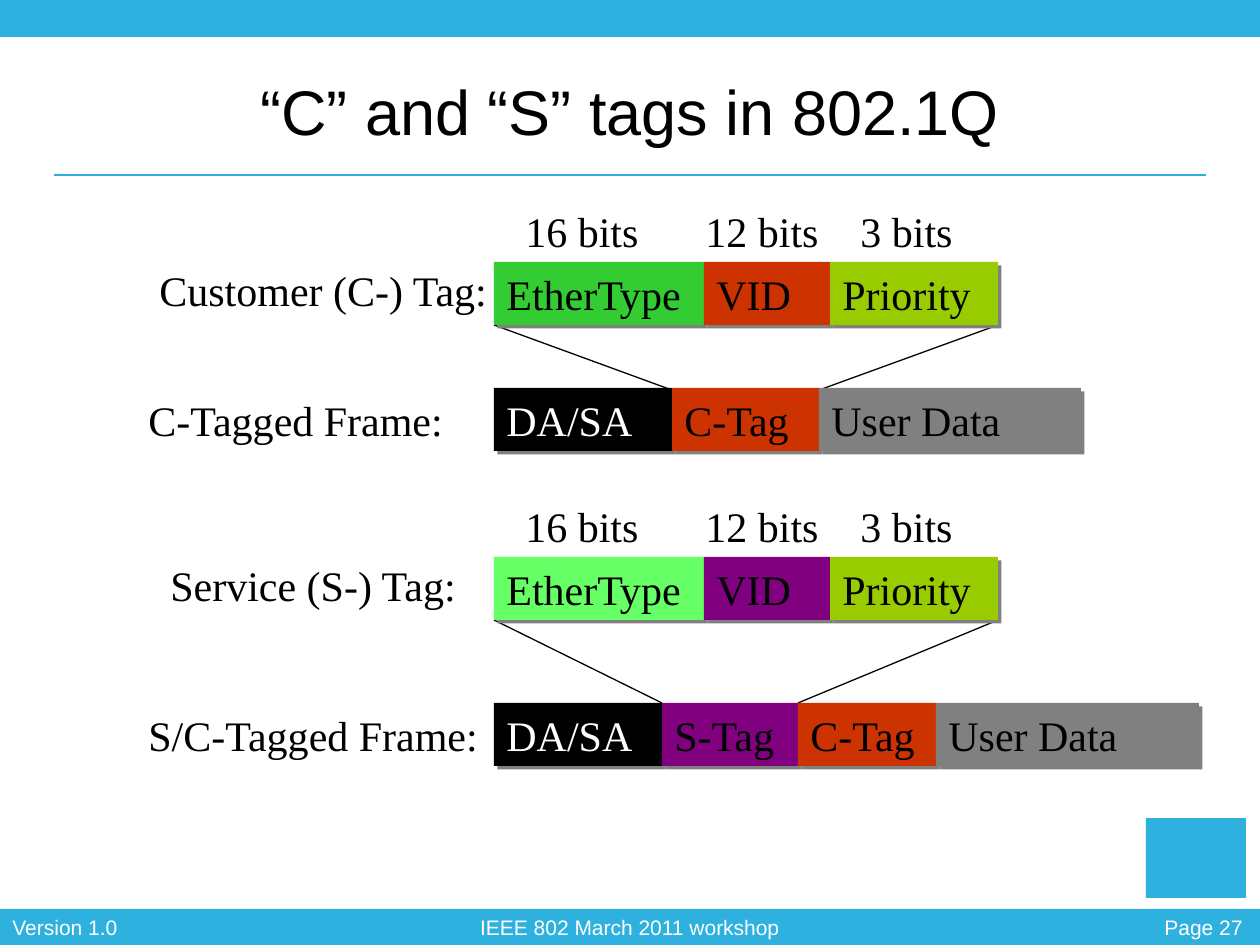
from dataclasses import dataclass
from itertools import accumulate

from lxml import etree
from pptx import Presentation
from pptx.dml.color import RGBColor
from pptx.enum.shapes import MSO_CONNECTOR, MSO_SHAPE
from pptx.enum.text import MSO_ANCHOR, PP_ALIGN
from pptx.oxml.ns import qn
from pptx.util import Emu, Pt

RECTANGLE = MSO_SHAPE.RECTANGLE
STRAIGHT = MSO_CONNECTOR.STRAIGHT
TOP, MIDDLE = MSO_ANCHOR.TOP, MSO_ANCHOR.MIDDLE
LEFT, CENTER, RIGHT = PP_ALIGN.LEFT, PP_ALIGN.CENTER, PP_ALIGN.RIGHT
TITLE_ONLY = 5
PX_PER_INCH = 126
FIELD_HEIGHT = 63


@dataclass(frozen=True)
class Theme:
    heading_font: str = "Arial"
    body_font: str = "Times New Roman"
    title_size: int = 36
    body_size: int = 24
    footer_size: int = 12
    bar: str = "2FB1DF"
    rule: str = "2FADDF"
    ink: str = "000000"
    paper: str = "FFFFFF"
    shadow: str = "808080"
    customer_type: str = "33CC33"
    service_type: str = "66FF66"
    customer: str = "CC3300"
    service: str = "800080"
    priority: str = "99CC00"
    data: str = "808080"


THEME = Theme()


def px(length):
    return Emu(round(length * 914400 / PX_PER_INCH))


def place(box):
    return [px(length) for length in box]


def write(frame, text, font, size, color, align=LEFT, anchor=TOP):
    frame.vertical_anchor = anchor
    para = frame.paragraphs[0]
    para.alignment = align
    span = para.add_run()
    span.text = text
    span.font.name = font
    span.font.size = Pt(size)
    span.font.color.rgb = RGBColor.from_string(color)


def add_text(page, box, text, font, size, color, align=LEFT, wrap=False):
    frame = page.shapes.add_textbox(*place(box)).text_frame
    frame.word_wrap = wrap
    write(frame, text, font, size, color, align)


def add_body_text(page, box, text):
    add_text(page, box, text, THEME.body_font, THEME.body_size, THEME.ink)


def add_rectangle(page, box, fill):
    shape = page.shapes.add_shape(RECTANGLE, *place(box))
    shape.shadow.inherit = False
    shape.fill.solid()
    shape.fill.fore_color.rgb = RGBColor.from_string(fill)
    shape.line.fill.background()
    return shape


def add_line(page, start, end, color):
    line = page.shapes.add_connector(STRAIGHT, *place(start + end))
    line.line.color.rgb = RGBColor.from_string(color)
    line.line.width = Pt(0.75)
    etree.SubElement(line._element.spPr, qn("a:effectLst"))


def add_drop_shadow(shape):
    effects = shape._element.spPr.find(qn("a:effectLst"))
    shadow = etree.SubElement(effects, qn("a:outerShdw"), dist=str(Pt(2.8)),
                              dir="2700000", algn="ctr", rotWithShape="0")
    etree.SubElement(shadow, qn("a:srgbClr"), val=THEME.shadow)


def add_field_row(page, left, top, fields):
    edges = accumulate((width for _, width, _ in fields), initial=left)
    for (text, width, fill), edge in zip(fields, edges):
        shape = add_rectangle(page, (edge, top, width, FIELD_HEIGHT), fill)
        add_drop_shadow(shape)
        shape.text_frame.word_wrap = True
        color = THEME.paper if fill == THEME.ink else THEME.ink
        write(shape.text_frame, text, THEME.body_font, THEME.body_size, color)


def add_tag_section(page, box, tag_label, tag_fields, frame_label, frame_fields, tuck):
    left, top, _, height = box
    row_left = left + 358
    tag_top = top + FIELD_HEIGHT
    tag_bottom = tag_top + FIELD_HEIGHT
    frame_top = top + height - FIELD_HEIGHT
    tag_right = row_left + sum(width for _, width, _ in tag_fields)
    inner_left = row_left + frame_fields[0][1]
    inner_right = inner_left + frame_fields[1][1]
    tuck_x, tuck_y = tuck

    add_line(page, (row_left, tag_bottom), (inner_left + tuck_x, frame_top + tuck_y), THEME.ink)
    add_line(page, (tag_right, tag_bottom), (inner_right - tuck_x, frame_top + tuck_y), THEME.ink)
    add_field_row(page, row_left, tag_top, tag_fields)
    add_field_row(page, row_left, frame_top, frame_fields)

    for text, offset, width in (("16 bits", 377, 139), ("12 bits", 557, 139), ("3 bits", 712, 117)):
        add_body_text(page, (left + offset, top, width, FIELD_HEIGHT), text)
    for (text, indent, width), label_top in ((tag_label, tag_top - 4), (frame_label, frame_top)):
        add_body_text(page, (left + indent, label_top, width, FIELD_HEIGHT), text)


def add_header(page, box):
    left, top, width, _ = box
    add_rectangle(page, (left, top, width, 37), THEME.bar)
    add_line(page, (left + 54, top + 175), (left + 1206, top + 175), THEME.rule)
    title = page.shapes.title
    title.left, title.top, title.width, title.height = place((left + 63, top + 55, 1134, 110))
    write(title.text_frame, "“C” and “S” tags in 802.1Q", THEME.heading_font,
          THEME.title_size, THEME.ink, CENTER, MIDDLE)


def add_footer(page, box):
    left, top, width, height = box
    add_rectangle(page, box, THEME.bar)
    for text, offset, text_width, align, wrap in (
        ("Version 1.0", 0, 131, LEFT, False),
        ("IEEE 802 March 2011 workshop", 0, width, CENTER, True),
        ("Page 27", 1096, 159, RIGHT, True),
    ):
        add_text(page, (left + offset, top - 1, text_width, height + 2), text,
                 THEME.heading_font, THEME.footer_size, THEME.paper, align, wrap)


def main():
    deck = Presentation()
    deck.slide_width, deck.slide_height = px(1260), px(945)
    page = deck.slides.add_slide(deck.slide_layouts[TITLE_ONLY])

    add_header(page, (0, 0, 1260, 185))
    add_footer(page, (0, 909, 1260, 36))
    add_rectangle(page, (1146, 818, 100, 80), THEME.bar)

    add_tag_section(
        page, (136, 199, 945, 252),
        ("Customer (C-) Tag:", 11, 357),
        [("EtherType", 210, THEME.customer_type), ("VID", 126, THEME.customer),
         ("Priority", 168, THEME.priority)],
        ("C-Tagged Frame:", 0, 323),
        [("DA/SA", 178, THEME.ink), ("C-Tag", 147, THEME.customer),
         ("User Data", 262, THEME.data)],
        (8, 5),
    )
    add_tag_section(
        page, (136, 494, 1063, 272),
        ("Service (S-) Tag:", 22, 314),
        [("EtherType", 210, THEME.service_type), ("VID", 126, THEME.service),
         ("Priority", 168, THEME.priority)],
        ("S/C-Tagged Frame:", 0, 358),
        [("DA/SA", 168, THEME.ink), ("S-Tag", 136, THEME.service),
         ("C-Tag", 138, THEME.customer), ("User Data", 263, THEME.data)],
        (0, 0),
    )
    deck.save("out.pptx")


if __name__ == "__main__":
    main()
